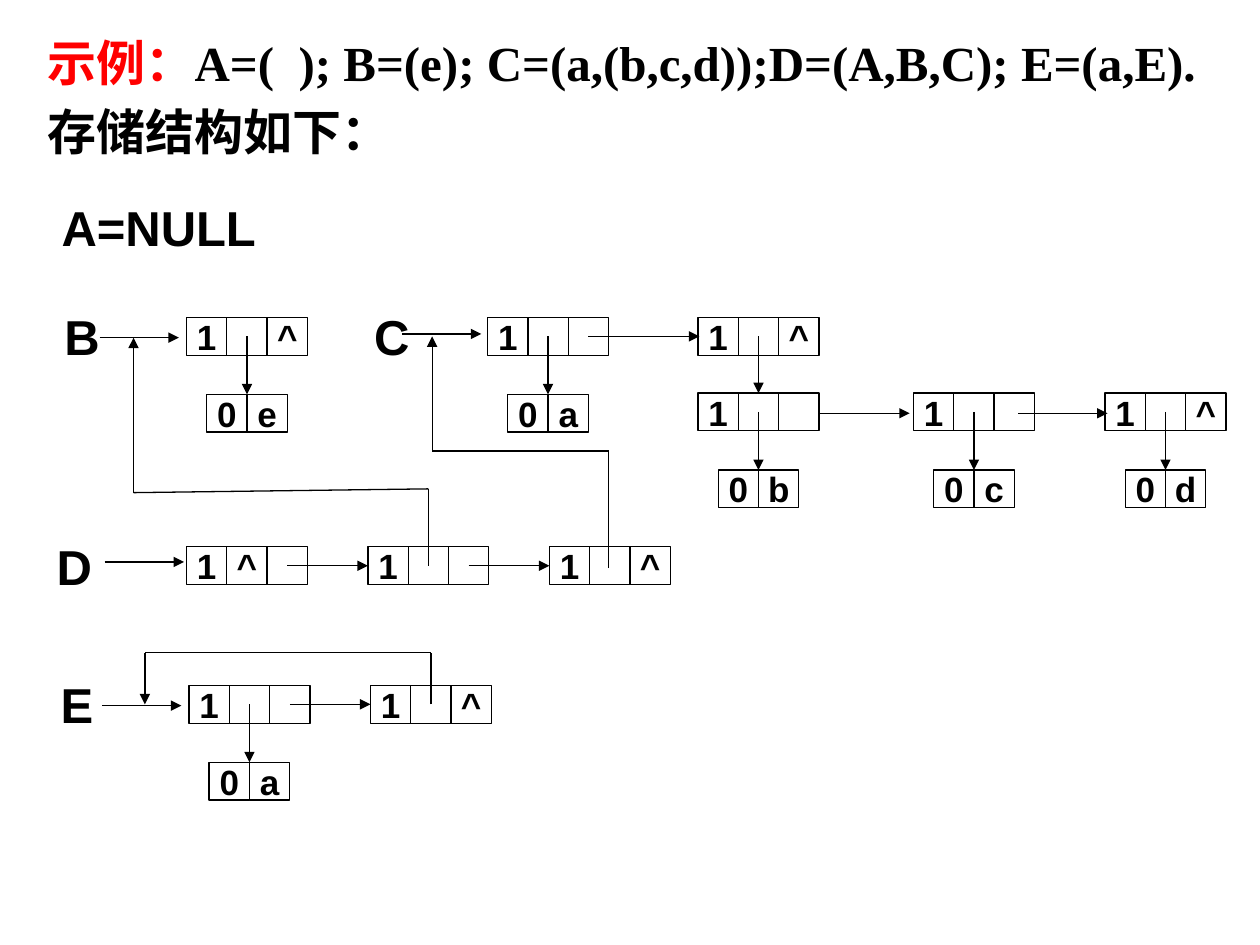
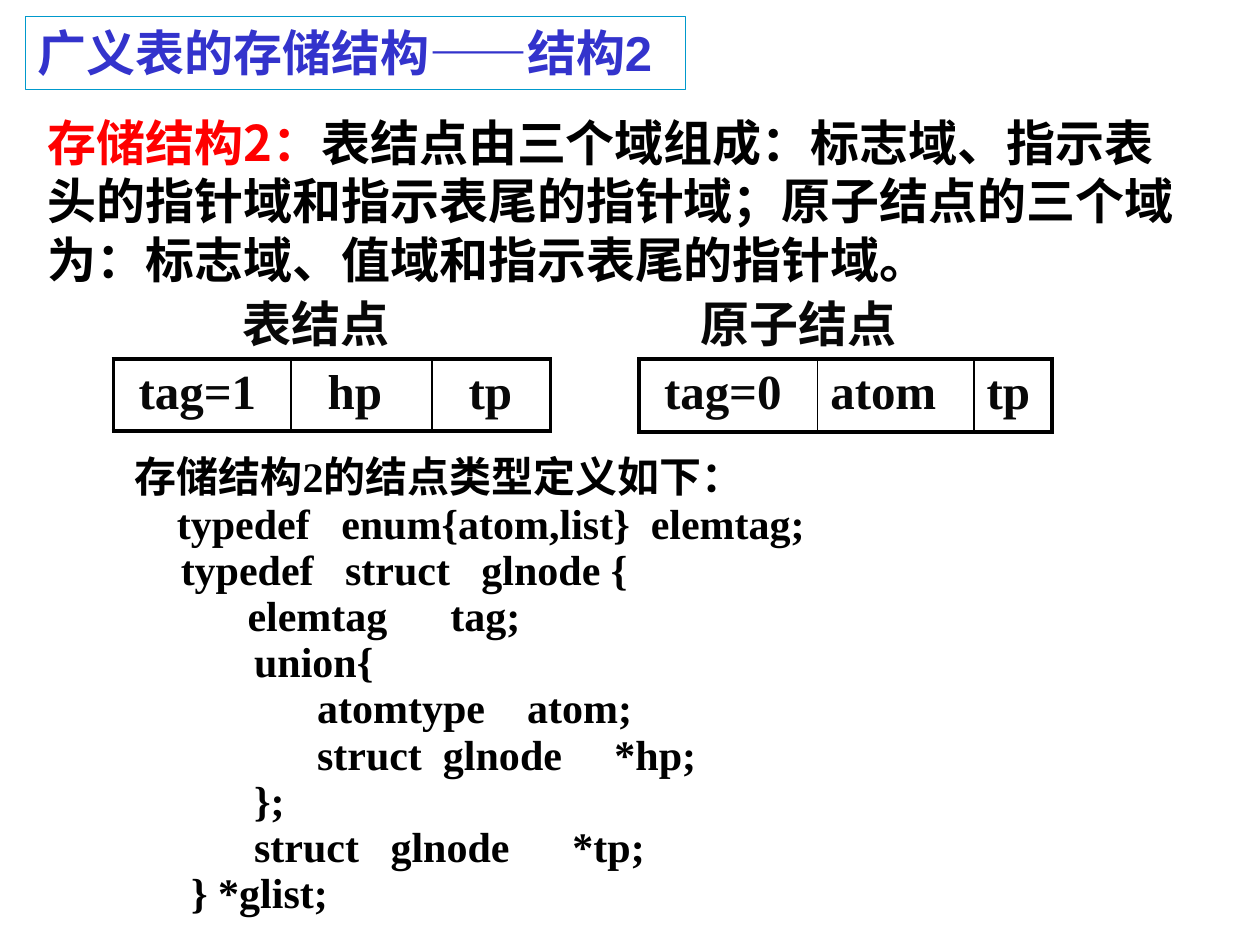
"""Two slides on the storage structures of generalized lists."""
from lxml import etree
from pptx import Presentation
from pptx import util as u
from pptx.dml.color import RGBColor
from pptx.enum import shapes, text
from pptx.oxml import ns

COLORS = {"ink": "000000", "soft": "080808", "lead": "FF0000",
          "heading": "3333CC", "frame": "0099CC"}
SERIF, SANS, CJK = "Times New Roman", "Arial", "Noto Sans CJK SC"
LINE = 0.75

EXAMPLE = [[("示例：", "lead"), ("A=(  ); B=(e); C=(a,(b,c,d));D=(A,B,C); E=(a,E).", "ink")],
           [("存储结构如下：", "ink")]]
LABELS = [("A=NULL", 1.26, 1.8, 2), ("B", 0.65, 2.67, 0.32), ("C", 3.11, 2.67, 0.32),
          ("D", 0.59, 4.49, 0.32), ("E", 0.61, 5.59, 0.32)]

FIELD_W, FIELD_H, DROP = 0.32, 0.3, 0.61
LIST_NODES = [
    (1.48, 2.52, ("1", "", "^"), "e"),
    (3.87, 2.52, ("1", "", ""), "a"),
    (5.54, 2.52, ("1", "", "^"), None),
    (5.54, 3.12, ("1", "", ""), "b"),
    (7.25, 3.12, ("1", "", ""), "c"),
    (8.77, 3.12, ("1", "", "^"), "d"),
    (1.48, 4.34, ("1", "^", ""), None),
    (2.92, 4.34, ("1", "", ""), None),
    (4.36, 4.34, ("1", "", "^"), None),
    (1.5, 5.44, ("1", "", ""), "a"),
    (2.94, 5.44, ("1", "", "^"), None),
]
ROUTES = [
    [(0.79, 2.68), (1.42, 2.68)],
    [(3.19, 2.65), (3.82, 2.65)],
    [(0.83, 4.46), (1.46, 4.46)],
    [(0.81, 5.6), (1.44, 5.6)],
    [(4.67, 2.67), (5.55, 2.67)],
    [(6.02, 2.67), (6.02, 3.12)],
    [(6.51, 3.28), (7.22, 3.28)],
    [(8.08, 3.28), (8.79, 3.28)],
    [(2.28, 4.49), (2.92, 4.49)],
    [(3.72, 4.49), (4.36, 4.49)],
    [(2.3, 5.59), (2.94, 5.59)],
    [(3.4, 4.49), (3.4, 3.88), (1.06, 3.91), (1.06, 2.68)],
    [(4.83, 4.51), (4.83, 3.58), (3.43, 3.58), (3.43, 2.67)],
    [(3.42, 5.59), (3.42, 5.18), (1.15, 5.18), (1.15, 5.59)],
]

HEADING = [[("广义表的存储结构——结构2", "heading")]]
EXPLANATION = [[("存储结构2：", "lead"),
                ("表结点由三个域组成：标志域、指示表头的指针域和指示表尾的指针域；"
                 "原子结点的三个域为：标志域、值域和指示表尾的指针域。", "ink")]]
LAYOUTS = [
    {"caption": "表结点", "caption_x": 1.83, "x": 0.9, "height": 0.57,
     "fields": [("tag=1", 1.41, 0.2), ("hp", 1.12, 0.29), ("tp", 0.94, 0.29)]},
    {"caption": "原子结点", "caption_x": 5.46, "x": 5.07, "height": 0.58,
     "fields": [("tag=0", 1.42, 0.2), ("atom", 1.24, 0.1), ("tp", 0.62, 0.1)]},
]
DEFINITION_INTRO = "存储结构2的结点类型定义如下："
DEFINITION = [
    " 　   typedef   enum{atom,list}  elemtag;",
    "　　typedef   struct   glnode {",
    "　　       elemtag      tag;",
    "               union{",
    "                     atomtype    atom;",
    "                     struct  glnode     *hp;",
    "               };",
    "               struct   glnode      *tp;",
    "         } *glist;",
]


def rgb(color):
    return RGBColor.from_string(COLORS[color])


def set_font(paragraph, size, face, color="ink"):
    font = paragraph.font
    font.size, font.bold, font.name = u.Pt(size), True, face
    font.color.rgb = rgb(color)
    etree.SubElement(font._element, ns.qn("a:ea"), typeface=CJK)


def write(box, paragraphs, size, face, pitch=1.2):
    frame = box.text_frame
    frame.word_wrap, frame.auto_size = True, text.MSO_AUTO_SIZE.NONE
    frame.vertical_anchor = text.MSO_ANCHOR.TOP
    for index, runs in enumerate(paragraphs):
        paragraph = frame.add_paragraph() if index else frame.paragraphs[0]
        if box.is_placeholder:
            props = paragraph._p.get_or_add_pPr()
            props.set("marL", "0")
            props.set("indent", "0")
            etree.SubElement(props, ns.qn("a:buNone"))
        paragraph.alignment = text.PP_ALIGN.LEFT
        paragraph.line_spacing = u.Pt(size * pitch)
        paragraph.space_before = u.Pt(size * 0.2 if index else 0)
        set_font(paragraph, size, face, runs[-1][1])
        for words, color in runs:
            run = paragraph.add_run()
            run.text = words
            if color != runs[-1][1]:
                run.font.color.rgb = rgb(color)
    return frame


def place(box, *bounds):
    box.left, box.top, box.width, box.height = map(u.Inches, bounds)
    return box


def add_box(slide, *bounds):
    return slide.shapes.add_textbox(*map(u.Inches, bounds))


def center_word(box, word, size):
    frame = box.text_frame
    frame.word_wrap = False
    frame.vertical_anchor = text.MSO_ANCHOR.MIDDLE
    frame.margin_left = frame.margin_right = frame.margin_top = frame.margin_bottom = 0
    paragraph = frame.paragraphs[0]
    paragraph.alignment = text.PP_ALIGN.CENTER
    set_font(paragraph, size, SANS)
    paragraph.add_run().text = word


def add_fields(slide, x, y, fields):
    for index, word in enumerate(fields):
        field = slide.shapes.add_shape(
            shapes.MSO_SHAPE.RECTANGLE,
            *map(u.Inches, (x + index * FIELD_W, y, FIELD_W, FIELD_H)))
        field.shadow.inherit = False
        field.fill.background()
        field.line.color.rgb, field.line.width = rgb("ink"), u.Pt(LINE)
        if word:
            center_word(field, word, 20)


def add_route(slide, points):
    for start, end in zip(points, points[1:]):
        link = slide.shapes.add_connector(
            shapes.MSO_CONNECTOR.STRAIGHT, *map(u.Inches, (*start, *end)))
        link.line.color.rgb, link.line.width = rgb("ink"), u.Pt(LINE)
        if end == points[-1]:
            etree.SubElement(link.line._get_or_add_ln(), ns.qn("a:tailEnd"), type="triangle")
        etree.SubElement(link._element.spPr, ns.qn("a:effectLst"))


def set_borders(cell, widths):
    props = cell._tc.get_or_add_tcPr()
    for index, (side, width) in enumerate(zip("LRTB", widths)):
        border = etree.Element(ns.qn(f"a:ln{side}"), w=str(u.Pt(width)))
        fill = etree.SubElement(border, ns.qn("a:solidFill"))
        etree.SubElement(fill, ns.qn("a:srgbClr"), val=COLORS["ink"])
        props.insert(index, border)


def add_layout(slide, layout):
    caption = add_box(slide, layout["caption_x"], 2.28, 2.2, 0.57)
    write(caption, [[(layout["caption"], "soft")]], 28, SERIF)
    fields = layout["fields"]
    total = sum(width for _, width, _ in fields)
    bounds = map(u.Inches, (layout["x"], 2.85, total, layout["height"]))
    table = slide.shapes.add_table(1, len(fields), *bounds).table
    table.first_row = table.horz_banding = False
    for index, (word, width, margin) in enumerate(fields):
        table.columns[index].width = u.Inches(width)
        cell = table.cell(0, index)
        cell.fill.background()
        cell.margin_left = u.Inches(margin)
        paragraph = cell.text_frame.paragraphs[0]
        set_font(paragraph, 28, SERIF, "soft")
        paragraph.add_run().text = word
        last = index == len(fields) - 1
        set_borders(cell, (1 if index else 2.25, 2.25 if last else 1, 2.25, 2.25))


def build_example(prs):
    slide = prs.slides.add_slide(prs.slide_layouts[5])
    write(place(slide.shapes.title, 0.28, 0.21, 9.5, 1.18), EXAMPLE, 28, SERIF)
    for word, x, y, width in LABELS:
        center_word(add_box(slide, x - width / 2, y - 0.15, width, 0.3), word, 28)
    for x, y, fields, atom in LIST_NODES:
        add_fields(slide, x, y, fields)
        if atom:
            add_fields(slide, x + FIELD_W / 2, y + DROP, ("0", atom))
            middle = x + 1.5 * FIELD_W
            add_route(slide, [(middle, y + FIELD_H / 2), (middle, y + DROP)])
    for points in ROUTES:
        add_route(slide, points)


def build_structure(prs):
    slide = prs.slides.add_slide(prs.slide_layouts[1])
    heading = place(slide.shapes.title, 0.2, 0.13, 5.24, 0.58)
    heading.line.color.rgb, heading.line.width = rgb("frame"), u.Pt(LINE)
    write(heading, HEADING, 28, SANS)
    explanation = place(slide.placeholders[1], 0.28, 0.84, 9.21, 1.5)
    write(explanation, EXPLANATION, 28, CJK)
    for layout in LAYOUTS:
        add_layout(slide, layout)
    lines = [[(line, "ink")] for line in [DEFINITION_INTRO, *DEFINITION]]
    frame = write(add_box(slide, 0.67, 3.63, 7.5, 3.82), lines, 24, SERIF, pitch=0.9)
    frame.paragraphs[0]._p.get_or_add_pPr().set("marL", str(u.Inches(0.3)))


def main():
    prs = Presentation()
    prs.slide_width, prs.slide_height = u.Inches(10), u.Inches(7.5)
    build_example(prs)
    build_structure(prs)
    prs.save("out.pptx")


if __name__ == "__main__":
    main()
